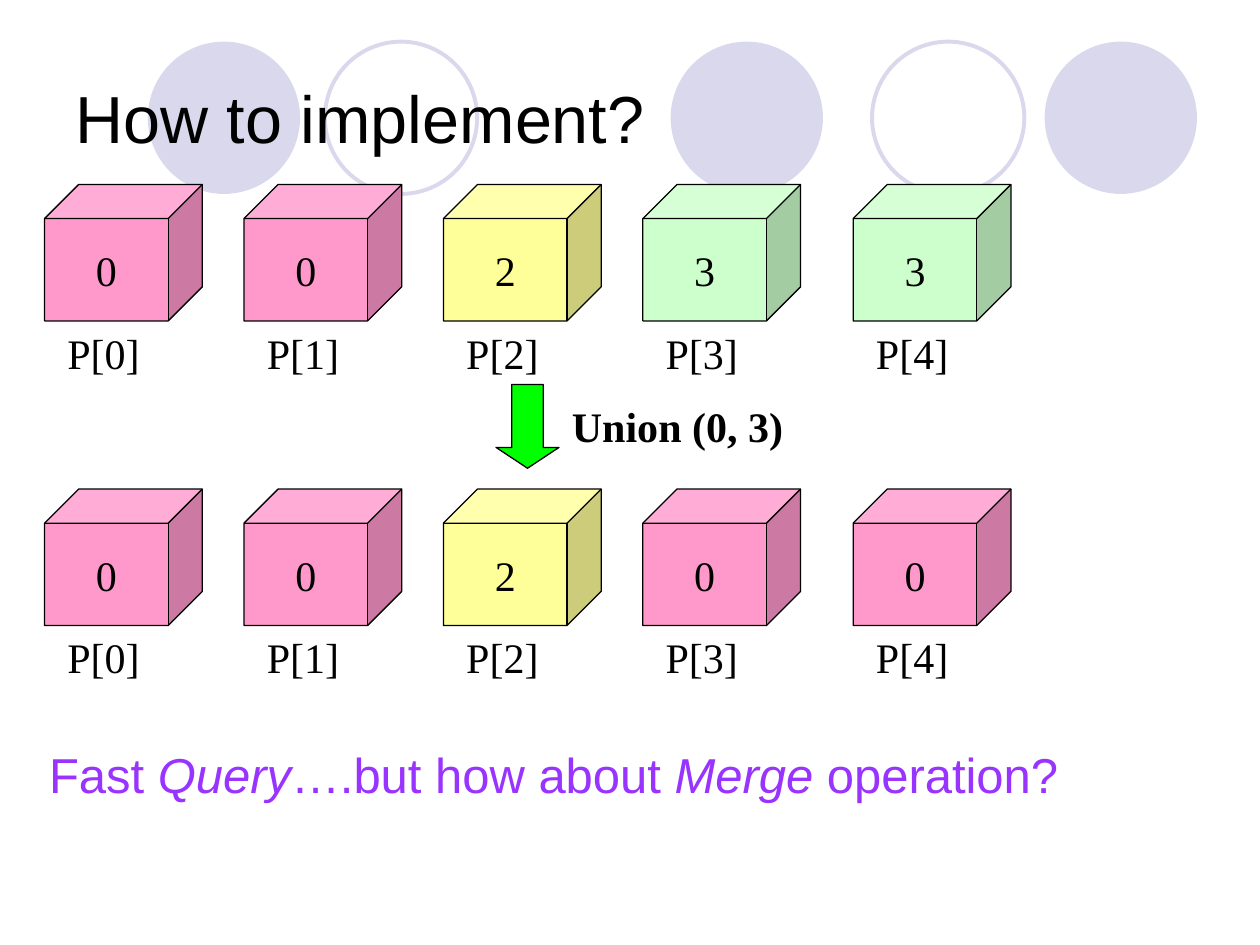
from pptx import Presentation
from pptx import util as u
from pptx.dml import color
from pptx.enum import shapes, text

SERIF = {"name": "Times New Roman", "size": u.Pt(24)}
PINK, YELLOW, GREEN = "FF99CC", "FFFF99", "CCFFCC"
CUBE_LEFTS = [0.9, 4.92, 8.94, 12.96, 17.2]
CUBE_WIDTH, CUBE_HEIGHT = 3.18, 2.75
ROWS = [
    (3.72, [("0", PINK), ("0", PINK), ("2", YELLOW), ("3", GREEN), ("3", GREEN)]),
    (9.86, [("0", PINK), ("0", PINK), ("2", YELLOW), ("0", PINK), ("0", PINK)]),
]


def rgb(value):
    return color.RGBColor.from_string(value)


def place(left, top, width, height):
    return [u.Cm(length) for length in (left, top, width, height)]


def write(box, spans, formats, ink="000000", wrap=True,
          anchor=text.MSO_ANCHOR.TOP, align=text.PP_ALIGN.LEFT):
    frame = box.text_frame
    frame.word_wrap = wrap
    frame.vertical_anchor = anchor
    para = frame.paragraphs[0]
    para.alignment = align
    for words, extra in spans:
        span = para.add_run()
        span.text = words
        span.font.color.rgb = rgb(ink)
        for name, value in {**formats, **extra}.items():
            setattr(span.font, name, value)


def add_text(page, area, spans, formats, **options):
    box = page.shapes.add_textbox(*place(*area))
    write(box, spans, formats, **options)


def add_shape(page, kind, area, fill=None, line=None, weight=0.75):
    shape = page.shapes.add_shape(kind, *place(*area))
    shape.shadow.inherit = False
    if fill:
        shape.fill.solid()
        shape.fill.fore_color.rgb = rgb(fill)
    else:
        shape.fill.background()
    if line:
        shape.line.color.rgb = rgb(line)
        shape.line.width = u.Pt(weight)
    else:
        shape.line.fill.background()
    return shape


def add_circles(page):
    lilac = "D9D8EC"
    for left in (13.52, 21.06, 2.98):
        add_shape(page, shapes.MSO_SHAPE.OVAL, (left, 0.84, 3.07, 3.07), fill=lilac)
    for left in (17.58, 6.55):
        add_shape(page, shapes.MSO_SHAPE.OVAL, (left, 0.84, 3.07, 3.07),
                  line=lilac, weight=2.25)


def add_cube_row(page, top, cells):
    for index, (left, (value, fill)) in enumerate(zip(CUBE_LEFTS, cells)):
        cube = add_shape(page, shapes.MSO_SHAPE.CUBE,
                         (left, top, CUBE_WIDTH, CUBE_HEIGHT), fill, "000000")
        write(cube, [(value, {})], SERIF, wrap=False,
              anchor=text.MSO_ANCHOR.MIDDLE, align=text.PP_ALIGN.CENTER)
        add_text(page, (left + 0.21, top + CUBE_HEIGHT, 2.11, 1.27),
                 [(f"P[{index}]", {})], SERIF)


def main():
    deck = Presentation()
    deck.slide_width, deck.slide_height = u.Cm(25.4), u.Cm(19.05)
    page = deck.slides.add_slide(deck.slide_layouts[6])

    add_circles(page)
    add_text(page, (1.27, 0.76, 22.86, 3.18), [("How to implement?", {})],
             {"name": "Arial", "size": u.Pt(38)}, anchor=text.MSO_ANCHOR.MIDDLE)
    for top, cells in ROWS:
        add_cube_row(page, top, cells)

    add_text(page, (11.28, 7.95, 5.72, 1.27), [("Union (0, 3)", {"bold": True})], SERIF)
    arrow = add_shape(page, shapes.MSO_SHAPE.DOWN_ARROW,
                      (10, 7.75, 1.27, 1.69), "00FF00", "000000")
    arrow.adjustments[0], arrow.adjustments[1] = 0.5, 0.33

    italic = {"italic": True}
    question = [("Fast ", {}), ("Query", italic), ("….but how about ", {}),
                ("Merge", italic), (" operation?", {})]
    add_text(page, (0.74, 14.88, 20.85, 1.45), question,
             {"name": "Arial", "size": u.Pt(28)}, ink="9933FF", wrap=False)
    deck.save("out.pptx")


if __name__ == "__main__":
    main()
